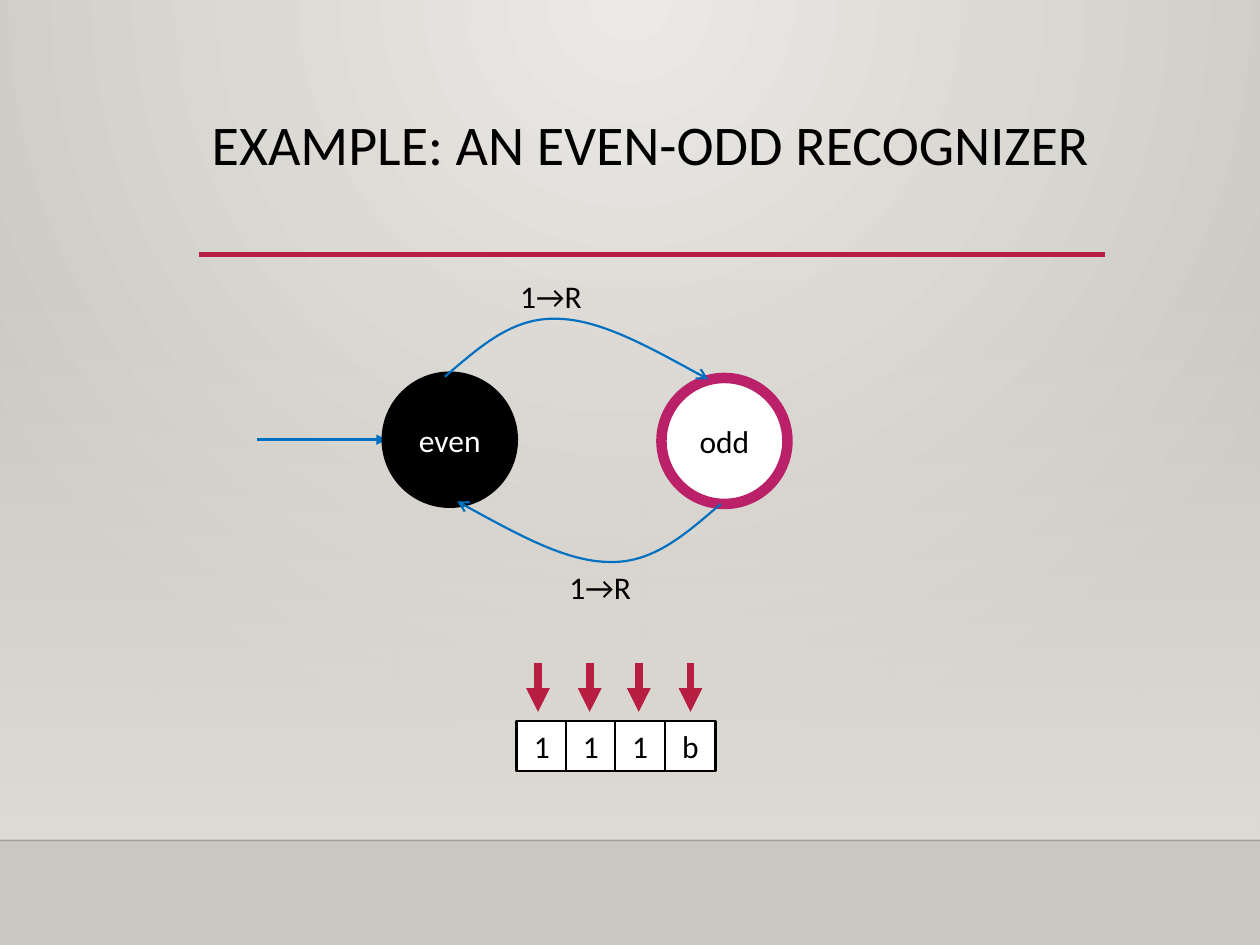
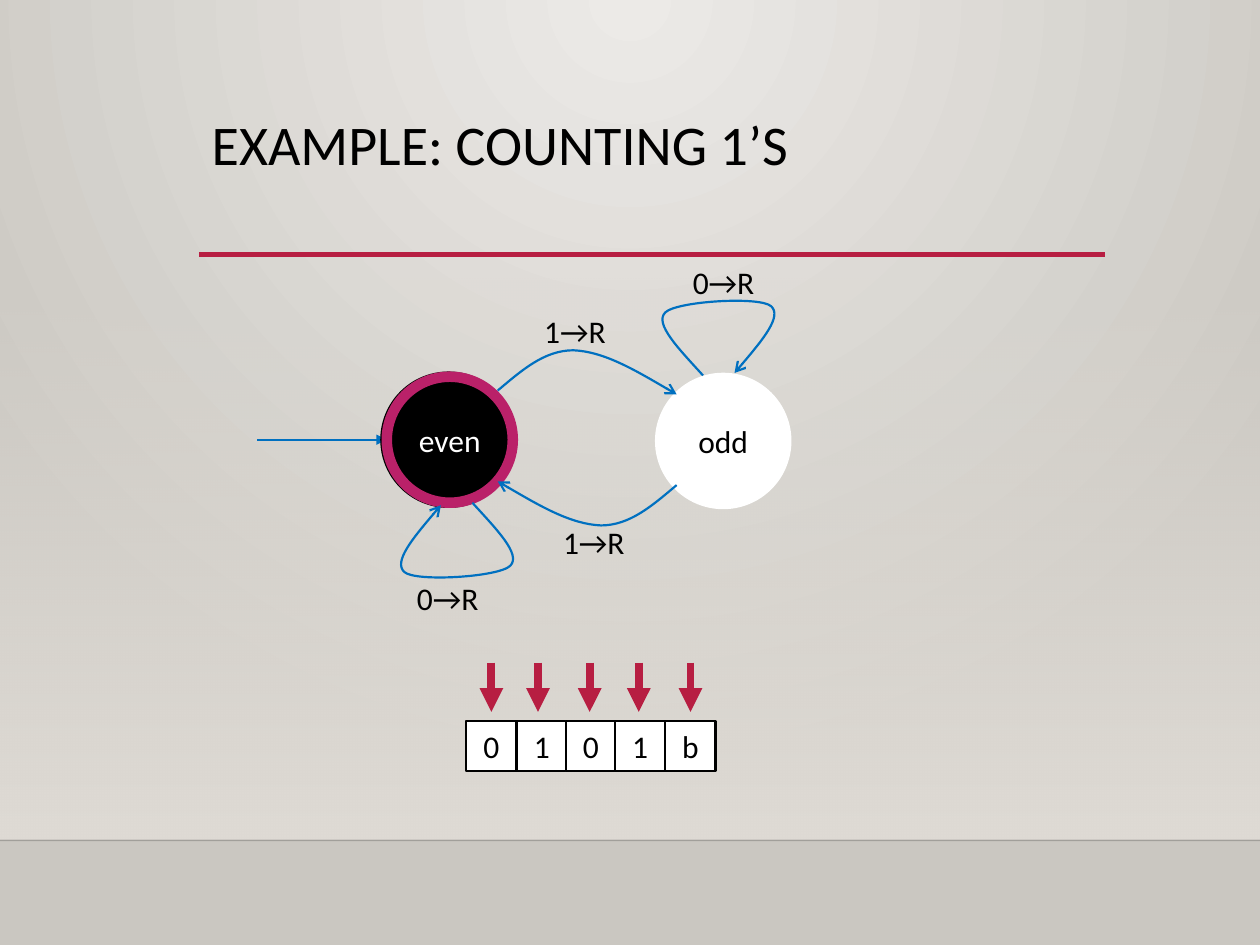
import pptx
import pptx.util
import pptx.dml.color
import pptx.enum.dml
import pptx.enum.shapes
import pptx.enum.text
import pptx.oxml.ns
from lxml import etree

Inches, Pt = pptx.util.Inches, pptx.util.Pt
RGB = pptx.dml.color.RGBColor.from_string
qn = pptx.oxml.ns.qn
SHAPE = pptx.enum.shapes.MSO_SHAPE
ALIGN, ANCHOR = pptx.enum.text.PP_ALIGN, pptx.enum.text.MSO_ANCHOR
AUTO = pptx.enum.text.MSO_AUTO_SIZE


class Theme:
    font = "Calibri"
    title_size, body_size = 32, 18
    black, white = "000000", "FFFFFF"
    accent, accepting, flow = "B71E42", "BA2169", "0070C0"
    glow, shade, band, floor_line = "ECEAE7", "CAC7C1", "DFDBD5", "000001"


# Content: a transition is a cubic path, start point then three points per curve
OUTER_ARC = [(3.53, 2.99), (3.8, 2.76), (4.06, 2.52), (4.41, 2.53),
             (4.75, 2.53), (5.18, 2.77), (5.62, 3.01)]
INNER_ARC = [(3.95, 3.1), (4.14, 2.94), (4.32, 2.78), (4.55, 2.78),
             (4.79, 2.79), (5.08, 2.96), (5.37, 3.13)]
LOOP = [(5.58, 2.98), (5.39, 2.77), (5.19, 2.57), (5.28, 2.48),
        (5.37, 2.39), (6.03, 2.35), (6.12, 2.43),
        (6.21, 2.51), (6.02, 2.74), (5.83, 2.96)]


def half_turn(points, sum_x, sum_y):
    """Turn a path by 180 degrees; opposite points add up to the sums."""
    return [(sum_x - x, sum_y - y) for x, y in points]


SLIDES = [
    dict(title="EXAMPLE: AN EVEN-ODD RECOGNIZER",
         start_width=1.5,
         states=[("even", 3.07, 2.99, Theme.black, Theme.black, Theme.white),
                 ("odd", 5.25, 3, Theme.white, Theme.accepting, Theme.black)],
         transitions=[OUTER_ARC, half_turn(OUTER_ARC, 9.25, 6.99)],
         labels=[("1→R", 4.03, 2.15), ("1→R", 4.42, 4.46)],
         tape="111b"),
    dict(title="EXAMPLE: COUNTING 1’S",
         start_width=1,
         states=[("even", 3.06, 2.99, Theme.black, Theme.black, Theme.white),
                 ("even", 3.07, 2.99, Theme.black, Theme.accepting, Theme.white),
                 ("odd", 5.24, 3, Theme.white, Theme.white, Theme.black)],
         transitions=[INNER_ARC, half_turn(INNER_ARC, 9.32, 6.95),
                      LOOP, half_turn(LOOP, 9.33, 6.97)],
         labels=[("1→R", 4.22, 2.43), ("1→R", 4.37, 4.1),
                 ("0→R", 5.4, 2.04), ("0→R", 3.21, 4.55)],
         tape="0101b"),
]
CELL, TAPE_TOP = 0.4, 5.72
TAPE_SLOTS = [(3.7, 3.9), (4.1, 4.27), (4.49, 4.68), (4.88, 5.07),
              (5.28, 5.48)]  # cell left, head position


# Helpers
def add_text(tf, text, size=Theme.body_size, color=Theme.black,
             align=ALIGN.LEFT, anchor=ANCHOR.TOP, wrap=True,
             auto=AUTO.NONE, spacing=None):
    tf.word_wrap, tf.auto_size, tf.vertical_anchor = wrap, auto, anchor
    p = tf.paragraphs[0]
    p.alignment = align
    if spacing:
        p.line_spacing = spacing
    r = p.add_run()
    r.text = text
    r.font.name, r.font.size = Theme.font, Pt(size)
    r.font.color.rgb = RGB(color)


def add_color(parent, color, alpha):
    clr = etree.SubElement(parent, qn("a:srgbClr"), val=color)
    if alpha < 100:
        etree.SubElement(clr, qn("a:alpha"), val=str(alpha * 1000))


def set_line(line, color, width, head=None, alpha=100):
    line.color.rgb, line.width = RGB(color), Pt(width)
    ln = line._get_or_add_ln()
    if alpha < 100:
        solid = ln.find(qn("a:solidFill"))
        solid.remove(solid[0])
        add_color(solid, color, alpha)
    if head:
        etree.SubElement(ln, qn("a:tailEnd"), type=head)


def set_gradient(fill, element, stops):
    """Fill with (position, colour, alpha) stops and return the gradFill."""
    fill.gradient()
    grad = next(element.iter(qn("a:gradFill")))
    for child in list(grad):
        grad.remove(child)
    gs_list = etree.SubElement(grad, qn("a:gsLst"))
    for pos, color, alpha in stops:
        gs = etree.SubElement(gs_list, qn("a:gs"), pos=str(pos * 1000))
        add_color(gs, color, alpha)
    return grad


def add_line(s, x1, y1, x2, y2, color, width, **fmt):
    line = s.shapes.add_connector(pptx.enum.shapes.MSO_CONNECTOR.STRAIGHT,
                                  *map(Inches, (x1, y1, x2, y2)))
    set_line(line.line, color, width, **fmt)
    etree.SubElement(line._element.spPr, qn("a:effectLst"))


def add_shape(s, kind, x, y, w, h, fill, line, width, text, color=Theme.black):
    sp = s.shapes.add_shape(kind, *map(Inches, (x, y, w, h)))
    sp.shadow.inherit = False
    sp.fill.solid()
    sp.fill.fore_color.rgb = RGB(fill)
    set_line(sp.line, line, width)
    add_text(sp.text_frame, text, color=color, align=ALIGN.CENTER,
             anchor=ANCHOR.MIDDLE)


def add_transition(s, points):
    points = [(Inches(x), Inches(y)) for x, y in points]
    fb = s.shapes.build_freeform(*points[0])
    fb.add_line_segments(points[3::3], close=False)
    sp = fb.convert_to_shape()
    # Bend each straight segment into a cubic curve
    segments = list(sp._element.iter(qn("a:lnTo")))
    for i, segment in enumerate(segments):
        curve = etree.Element(qn("a:cubicBezTo"))
        for x, y in points[3 * i + 1:3 * i + 4]:
            etree.SubElement(curve, qn("a:pt"),
                             x=str(x - sp.left), y=str(y - sp.top))
        segment.getparent().replace(segment, curve)
    sp.shadow.inherit = False
    sp.fill.background()
    set_line(sp.line, Theme.flow, 1.25, head="arrow")


# Shared look
def set_background(master):
    grad = set_gradient(master.background.fill, master.element.cSld,
                        [(0, Theme.glow, 100), (100, Theme.shade, 100)])
    circle = etree.SubElement(grad, qn("a:path"), path="circle")
    etree.SubElement(circle, qn("a:fillToRect"),
                     l="43000", t="0", r="43000", b="100000")


def add_frame(s, title):
    band = s.shapes.add_shape(SHAPE.RECTANGLE,
                              *map(Inches, (0, 2.2, 10, 4.46)))
    band.shadow.inherit = False
    band.line.fill.background()
    grad = set_gradient(band.fill, band._element.spPr,
                        [(0, Theme.band, 0), (100, Theme.band, 100)])
    etree.SubElement(grad, qn("a:lin"), ang="5400000", scaled="0")
    add_line(s, 0, 6.67, 10, 6.67, Theme.floor_line, 1, alpha=20)
    add_line(s, 1.58, 2.02, 8.77, 2.02, Theme.accent, 2.5)
    sp = s.shapes.title
    sp.left, sp.top, sp.width, sp.height = map(Inches, (1.58, 0.88, 7.19, 1.15))
    add_text(sp.text_frame, title, size=Theme.title_size, spacing=0.9)


# Diagram parts
def add_machine(s, states, transitions, labels, start_width):
    add_line(s, 2.04, 3.49, 3.07, 3.49, Theme.flow, start_width, head="triangle")
    for name, x, y, fill, ring, color in states:
        add_shape(s, SHAPE.OVAL, x, y, 1, 1, fill, ring, 6, name, color)
    for points in transitions:
        add_transition(s, points)
    for text, x, y in labels:
        box = s.shapes.add_textbox(*map(Inches, (x, y, 0.72, 0.4)))
        add_text(box.text_frame, text, wrap=False, auto=AUTO.SHAPE_TO_FIT_TEXT)


def add_tape(s, tape):
    for symbol, (left, head) in zip(tape, TAPE_SLOTS[-len(tape):]):
        add_shape(s, SHAPE.RECTANGLE, left, TAPE_TOP, CELL, CELL,
                  Theme.white, Theme.black, 1.25, symbol)
        add_line(s, head, 5.26, head, 5.65, Theme.accent, 4.5, head="triangle")


def main():
    prs = pptx.Presentation()
    prs.slide_width, prs.slide_height = Inches(10), Inches(7.5)
    set_background(prs.slide_master)
    for data in SLIDES:
        s = prs.slides.add_slide(prs.slide_layouts[5])
        add_frame(s, data["title"])
        add_machine(s, data["states"], data["transitions"], data["labels"],
                    data["start_width"])
        add_tape(s, data["tape"])
    prs.save("out.pptx")


if __name__ == "__main__":
    main()
